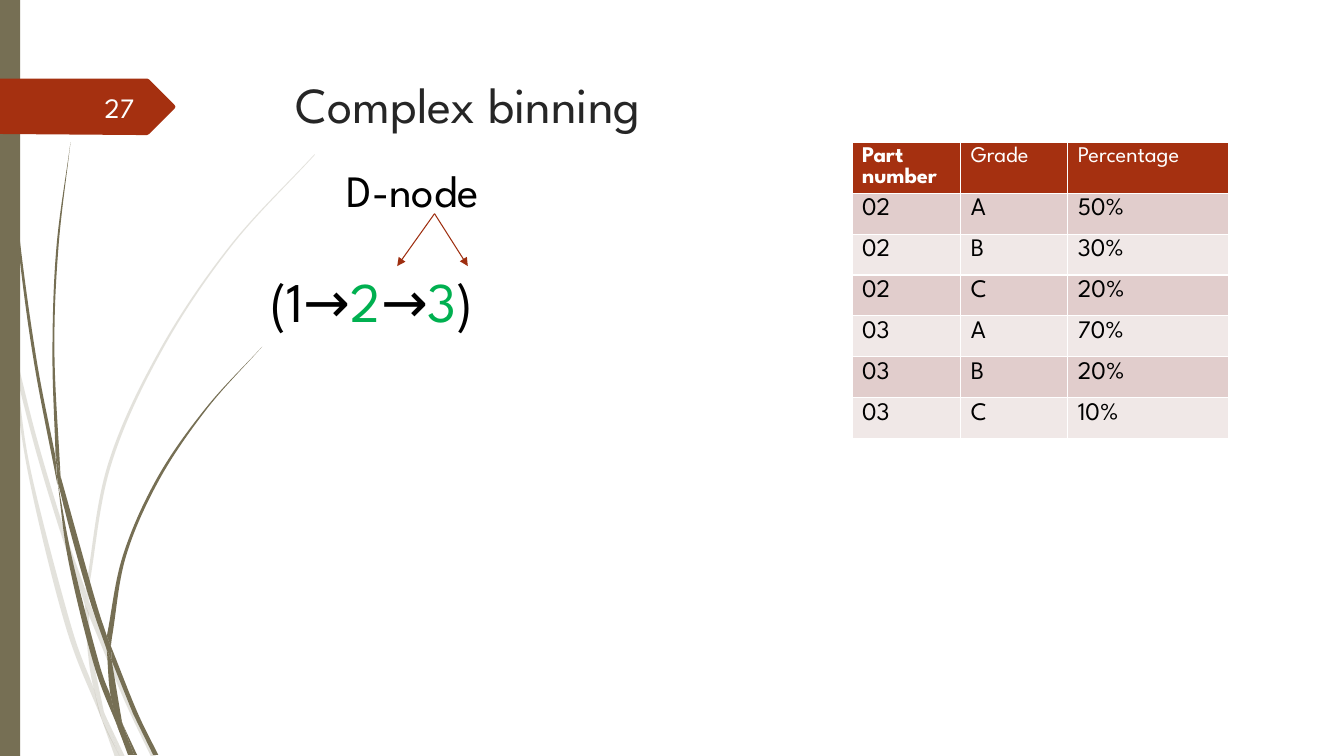
from lxml.etree import SubElement
from pptx import Presentation
from pptx.dml.color import RGBColor
from pptx.enum.shapes import MSO_CONNECTOR, MSO_SHAPE
from pptx.enum.text import MSO_ANCHOR, PP_ALIGN
from pptx.oxml.ns import qn
from pptx.util import Inches, Pt

FONT = "League Spartan"
OLIVE, RUST, WHITE, BLACK, GREEN = "766F54", "A53010", "FFFFFF", "000000", "00B050"
rgb = RGBColor.from_string

prs = Presentation()
prs.slide_width, prs.slide_height = Inches(13.33), Inches(7.5)
s = prs.slides.add_slide(prs.slide_layouts[5])


def add_outline(edges, color):
    pts, curves = [], []
    for edge in edges:
        pts.append(edge[0])
        if len(edge) == 2:
            pts.append(edge[1])
        elif len(edge) > 2:
            before = [2 * u - v for u, v in zip(edge[0], edge[1])]
            after = [2 * u - v for u, v in zip(edge[-1], edge[-2])]
            knots = [before, *edge, after]
            for a, b, c, d in zip(knots, knots[1:], knots[2:], knots[3:]):
                curves.append(len(pts) - 1)
                pts.append([v + (w - u) / 6 for u, v, w in zip(a, b, c)])
                pts.append([v - (w - u) / 6 for u, v, w in zip(b, c, d)])
                pts.append(c)
    pts = [[Inches(v) for v in pt] for pt in pts]
    fb = s.shapes.build_freeform(*pts[0], scale=1.0)
    fb.add_line_segments(pts[1:], close=True)
    sp = fb.convert_to_shape()
    lines = list(sp._element.iter(qn("a:lnTo")))
    for i in curves:
        lines[i].tag = qn("a:cubicBezTo")
        for line in lines[i + 1:i + 3]:
            lines[i].append(line[0])
            line.getparent().remove(line)
    sp.shadow.inherit = False
    sp.fill.solid()
    sp.fill.fore_color.rgb = rgb(color)
    sp.line.fill.background()
    return sp


def add_text(box, runs, size, wrap=True):
    sp = s.shapes.add_textbox(*map(Inches, box))
    sp.text_frame.word_wrap = wrap
    p = sp.text_frame.paragraphs[0]
    p.font.size, p.font.name = Pt(size), FONT
    for text, color in runs:
        r = p.add_run()
        r.text = text
        r.font.color.rgb = rgb(color)
    return sp


pale_strands = [
    ([(0, 2.82), (.09, 3.22), (.11, 3.5)], [(.1, 3.44), (0, 2.99)]),
    ([(.14, 3.45), (.36, 4.33), (.62, 5.2), (.85, 5.86)],
     [(.84, 5.99), (.58, 5.22), (.36, 4.49), (.17, 3.76)]),
    ([(.88, 5.96), (1.27, 6.92), (1.55, 7.51)], [(1.5, 7.51), (1.23, 6.94), (.88, 6.1)]),
    ([(1.05, 7.11), (1.24, 7.51)], [(1.19, 7.51)]),
    ([(.11, 3.5), (.28, 4.7), (.65, 6.21), (1.01, 7.14)],
     [(.93, 6.83), (.7, 6.19), (.31, 4.69), (.17, 3.76)]),
    ([(.84, 5.99), (.87, 6.46), (.93, 6.83), (1.05, 7.11)],
     [(1.03, 7.06), (.91, 6.46), (.88, 6.08)]),
    ([(.88, 5.96)], [(.88, 5.84), (1.1, 4.62), (1.6, 3.49), (2.29, 2.45), (3.12, 1.54)],
     [(3.12, 1.53), (2.28, 2.44), (1.58, 3.48), (1.07, 4.61), (.85, 5.84)]),
    ([(1.01, 7.14), (1.14, 7.51)], [(1.19, 7.51)]),
    ([(.88, 6.1), (.88, 5.96)], [(.85, 5.86), (.84, 5.99)]),
    ([(.93, 6.83), (1.01, 7.14), (1.19, 7.51)], [(1.05, 7.11), (.96, 6.92)]),
]
dark_strands = [
    ([(.03, 0), (.07, 1.1), (.17, 2.33), (.33, 3.55), (.57, 4.81)],
     [(.55, 4.53), (.36, 3.55), (.19, 2.32), (.08, 1.09), (.04, 0)]),
    ([(.6, 4.72), (.64, 5.05), (.88, 5.92), (1.06, 6.45)], [(1.06, 6.31), (.93, 5.9), (.6, 4.72)]),
    ([(1.1, 6.41), (1.11, 6.56)], [(1.32, 7.08), (1.52, 7.49)],
     [(1.57, 7.49), (1.36, 7.06), (1.1, 6.41)]),
    ([(.57, 4.77), (.68, 5.57), (.93, 6.59), (1.17, 7.22)],
     [(1.1, 6.91), (.98, 6.57), (.72, 5.56), (.57, 4.77)]),
    ([(.6, 4.72), (.54, 3.49), (.58, 2.45), (.7, 1.41)],
     [(.7, 1.41), (.56, 2.45), (.52, 3.49), (.55, 4.49)]),
    ([(1.22, 7.19), (1.36, 7.49)], [(1.33, 7.49)]),
    ([(.57, 4.77), (.64, 5.05)], [(.6, 4.72), (.55, 4.49)]),
    ([(1.11, 6.33), (1.25, 5.52), (1.58, 4.76), (2.05, 4.06), (2.6, 3.44)],
     [(2.6, 3.44), (2.04, 4.05), (1.56, 4.74), (1.22, 5.51), (1.06, 6.31)], [(1.1, 6.41)]),
    ([(1.17, 7.22), (1.27, 7.49)], [(1.31, 7.49)]),
    ([(1.06, 6.45), (1.1, 6.91), (1.22, 7.19)], [(1.21, 7.16), (1.11, 6.56)]),
    ([(1.06, 6.45), (1.11, 6.56)], [(1.1, 6.41), (1.06, 6.31)]),
    ([(1.1, 6.91), (1.17, 7.22), (1.3, 7.49)], [(1.33, 7.49), (1.22, 7.19)]),
]
for strand in pale_strands:
    sp = add_outline(strand, OLIVE)
    SubElement(next(sp._element.spPr.iter(qn("a:srgbClr"))), qn("a:alpha"), val="20000")
for strand in dark_strands:
    add_outline(strand, OLIVE)

bar = s.shapes.add_shape(MSO_SHAPE.RECTANGLE, 0, 0, Inches(.2), prs.slide_height)
bar.shadow.inherit = False
bar.fill.solid()
bar.fill.fore_color.rgb = rgb(OLIVE)
bar.line.fill.background()
add_outline([[(0, .78), (1.46, .78)], [(1.48, .79), (1.73, 1.04)], [(1.74, 1.06)],
             [(1.73, 1.08), (1.48, 1.33)], [(1.46, 1.34), (1.36, 1.34)], [(0, 1.33)]], RUST)

title = s.shapes.title
title.left, title.top, title.width, title.height = map(Inches, (2.83, .68, 9.75, 1.4))
title.text_frame.text = "Complex binning"
title.text_frame.vertical_anchor = MSO_ANCHOR.TOP
p = title.text_frame.paragraphs[0]
p.alignment = PP_ALIGN.LEFT
p.font.size, p.font.name = Pt(36), FONT
p.font.color.rgb = rgb("262626")

rows = [("Part number", "Grade", "Percentage"),
        ("02", "A", "50%"), ("02", "B", "30%"), ("02", "C", "20%"),
        ("03", "A", "70%"), ("03", "B", "20%"), ("03", "C", "10%")]
row_height = Pt(29.2)
table = s.shapes.add_table(len(rows), 3, Inches(8.45), Inches(1.41),
                           Inches(3.74), row_height * len(rows)).table
for column, width in zip(table.columns, (1.08, 1.06, 1.6)):
    column.width = Inches(width)
for i, row in enumerate(rows):
    table.rows[i].height = row_height
    for j, text in enumerate(row):
        cell = table.cell(i, j)
        cell.fill.solid()
        cell.fill.fore_color.rgb = rgb(RUST if i == 0 else "E1CDCC" if i % 2 else "F0E8E7")
        cell.text = text
        p = cell.text_frame.paragraphs[0]
        p.font.size, p.font.name = Pt(18 if i else 16), FONT
        p.font.bold = i == j == 0
        p.font.color.rgb = rgb(BLACK if i else WHITE)

add_text((2.58, 2.59, 2.84, .77),
         [("(1→", BLACK), ("2", GREEN), ("→", BLACK), ("3", GREEN), (")", BLACK)], 40)
add_text((3.34, 1.57, 1.85, .64), [("D-node", BLACK)], 32, wrap=False)
for x in (3.94, 4.64):
    arrow = s.shapes.add_connector(MSO_CONNECTOR.STRAIGHT, *map(Inches, (4.31, 2.12, x, 2.64)))
    arrow.line.color.rgb = rgb("9E2E0F")
    arrow.line.width = Pt(.75)
    SubElement(arrow.line._get_or_add_ln(), qn("a:tailEnd"), type="triangle")
    SubElement(arrow._element.spPr, qn("a:effectLst"))

number = add_text((.58, .86, .85, .4), [("27", "FEFFFF")], 20)
number.text_frame.vertical_anchor = MSO_ANCHOR.MIDDLE
number.text_frame.paragraphs[0].alignment = PP_ALIGN.RIGHT

prs.save("out.pptx")
